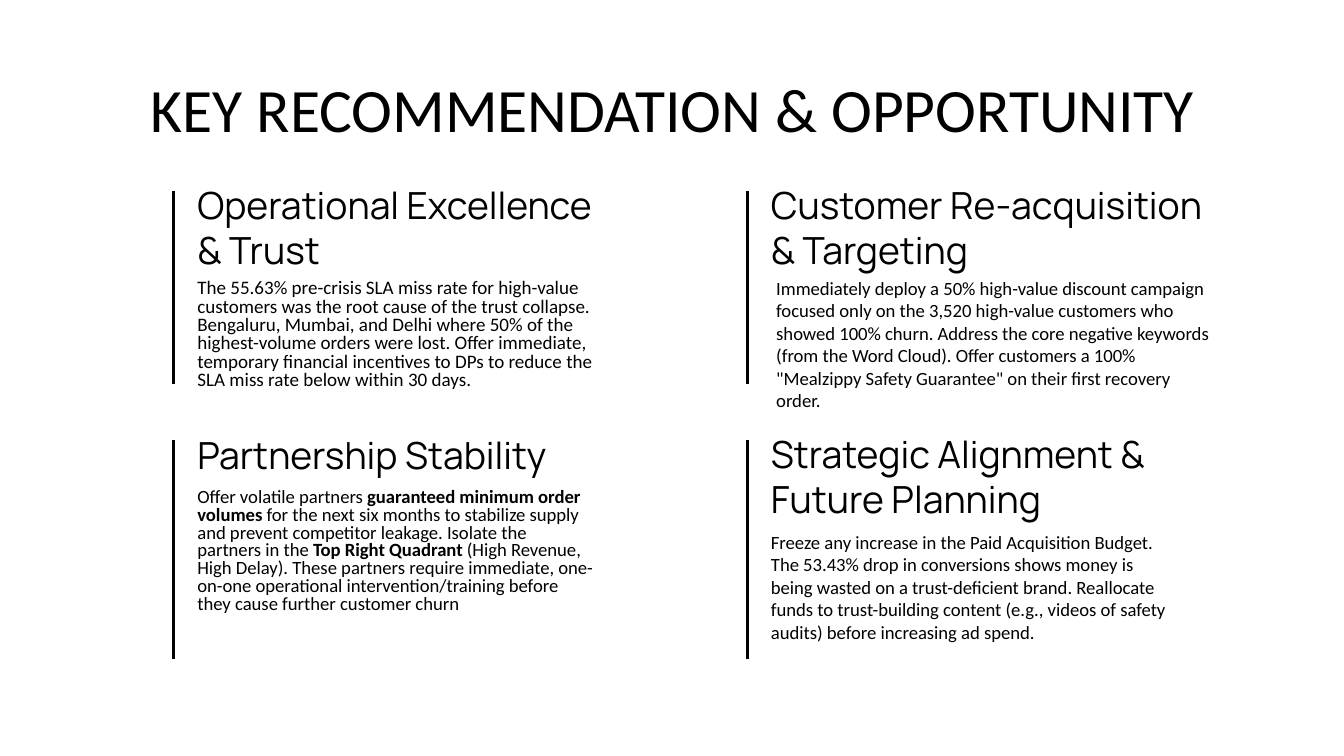
from dataclasses import dataclass

from lxml import etree
from pptx import Presentation, util as u
from pptx.dml import color
from pptx.enum import shapes, text
from pptx.oxml import ns


@dataclass(frozen=True)
class Theme:
    ink: color.RGBColor = color.RGBColor(0, 0, 0)
    paper: color.RGBColor = color.RGBColor(255, 255, 255)
    sans: str = "Calibri"
    head: str = "Manrope"
    big: float = 33
    mid: float = 20
    small: float = 10
    rule: float = 1.5


THEME = Theme()
TITLE = "KEY RECOMMENDATION & OPPORTUNITY"
COLS = (3.28, 14.12)  # x of the rule in each column
ROWS = ((3.61, 7.26), (8.31, 12.45))  # top and end of the rules
TOPS = (3.15, 7.85)  # top of the headings
GAP = 0.2  # rule to text

# Boxes are (shift from text edge, top, width, height); ** marks bold text.
CARDS = [
    dict(col=0, row=0, head="Operational Excellence & Trust",
         size=(7.98, 2.24), box=(0, 5.05, 7.98, 2.57), lead=0.8, pts=10.2,
         body=["The 55.63% pre-crisis SLA miss rate for high-value customers "
               "was the root cause of the trust collapse.",
               "Bengaluru, Mumbai, and Delhi where 50% of the highest-volume "
               "orders were lost. Offer immediate, temporary financial "
               "incentives to DPs to reduce the SLA miss rate below within "
               "30 days."]),
    dict(col=1, row=0, head="Customer Re-acquisition & Targeting",
         size=(8.92, 2.24), box=(0.1, 4.98, 8.69, 2.57), lead=1.0,
         pts=THEME.small,
         body=["Immediately deploy a 50% high-value discount campaign focused "
               "only on the 3,520 high-value customers who showed 100% churn. "
               "Address the core negative keywords (from the Word Cloud). "
               "Offer customers a 100% \"Mealzippy Safety Guarantee\" on their "
               "first recovery order."]),
    dict(col=0, row=1, head="Partnership Stability",
         size=(7.98, 1.42), box=(0, 8.99, 7.98, 3.07), lead=0.8,
         pts=THEME.small,
         body=["Offer volatile partners **guaranteed minimum order volumes** "
               "for the next six months to stabilize supply and prevent "
               "competitor leakage. Isolate the partners in the **Top Right "
               "Quadrant** (High Revenue, High Delay). These partners require "
               "immediate, one-on-one operational intervention/training "
               "before they cause further customer churn"]),
    dict(col=1, row=1, head="Strategic Alignment & Future Planning",
         size=(7.98, 2.24), box=(0, 9.78, 7.98, 3.07), lead=1.0,
         pts=THEME.small,
         body=["Freeze any increase in the Paid Acquisition Budget. The 53.43% "
               "drop in conversions shows money is being wasted on a "
               "trust-deficient brand. Reallocate funds to trust-building "
               "content (e.g., videos of safety audits) before increasing "
               "ad spend."]),
]


def apply(item, **form):
    for name, value in form.items():
        setattr(item, name, value)


def place(shape, *box):
    names = ("left", "top", "width", "height")
    apply(shape, **dict(zip(names, map(u.Cm, box))))


def strip(para):
    """Remove the bullet and indent that a placeholder passes on."""
    props = para._p.get_or_add_pPr()
    for name in ("marL", "indent"):
        props.set(name, "0")
    etree.SubElement(props, ns.qn("a:buNone"))


def write(shape, lines, font, pts, lead=1.0, anchor=text.MSO_ANCHOR.TOP,
          align=text.PP_ALIGN.LEFT):
    frame = shape.text_frame
    pad = u.Cm(0.25)
    apply(frame, word_wrap=True, auto_size=text.MSO_AUTO_SIZE.NONE,
          vertical_anchor=anchor, margin_left=pad, margin_right=pad,
          margin_top=pad, margin_bottom=pad)
    for i, line in enumerate(lines):
        para = frame.add_paragraph() if i else frame.paragraphs[0]
        strip(para)
        apply(para, alignment=align, line_spacing=lead,
              space_before=u.Pt(0), space_after=u.Pt(0))
        for j, part in enumerate(line.split("**")):
            run = para.add_run()
            run.text = part
            apply(run.font, name=font, size=u.Pt(pts), bold=j % 2 == 1)
            run.font.color.rgb = THEME.ink


def add_rule(slide, x, top, end):
    line = slide.shapes.add_connector(
        shapes.MSO_CONNECTOR.STRAIGHT, *map(u.Cm, (x, top, x, end)))
    line.line.color.rgb = THEME.ink
    line.line.width = u.Pt(THEME.rule)
    etree.SubElement(line._element.spPr, ns.qn("a:effectLst"))


def add_card(slide, holder, card):
    """Fill one quarter of the slide: heading, body and rule."""
    x = COLS[card["col"]]
    edge = x + GAP
    shift, *rest = card["box"]
    place(holder, edge + shift, *rest)
    write(holder, card["body"], THEME.sans, card["pts"], card["lead"])

    head = slide.shapes.add_textbox(0, 0, 0, 0)
    place(head, edge, TOPS[card["row"]], *card["size"])
    write(head, [card["head"]], THEME.head, THEME.mid,
          anchor=text.MSO_ANCHOR.BOTTOM)
    add_rule(slide, x, *ROWS[card["row"]])


def main():
    deck = Presentation()
    apply(deck, slide_width=u.Cm(25.4), slide_height=u.Cm(14.29))
    slide = deck.slides.add_slide(deck.slide_layouts.get_by_name("Comparison"))
    fill = slide.background.fill
    fill.solid()
    fill.fore_color.rgb = THEME.paper

    title, *holders = list(slide.placeholders)[:5]
    place(title, 2.01, 1.24, 21.41, 1.6)
    write(title, [TITLE], THEME.sans, THEME.big, 0.9,
          align=text.PP_ALIGN.CENTER)
    for holder, card in zip(holders, CARDS):
        add_card(slide, holder, card)
    deck.save("out.pptx")


if __name__ == "__main__":
    main()
